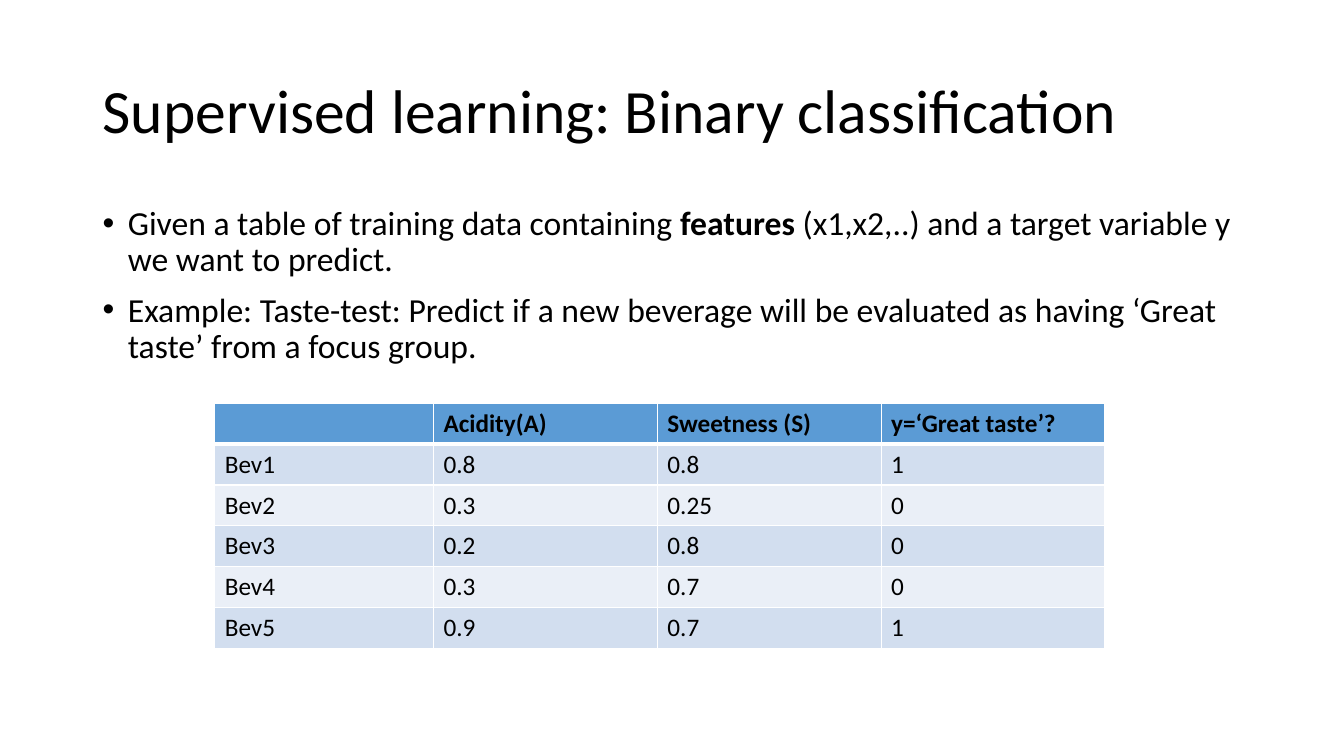
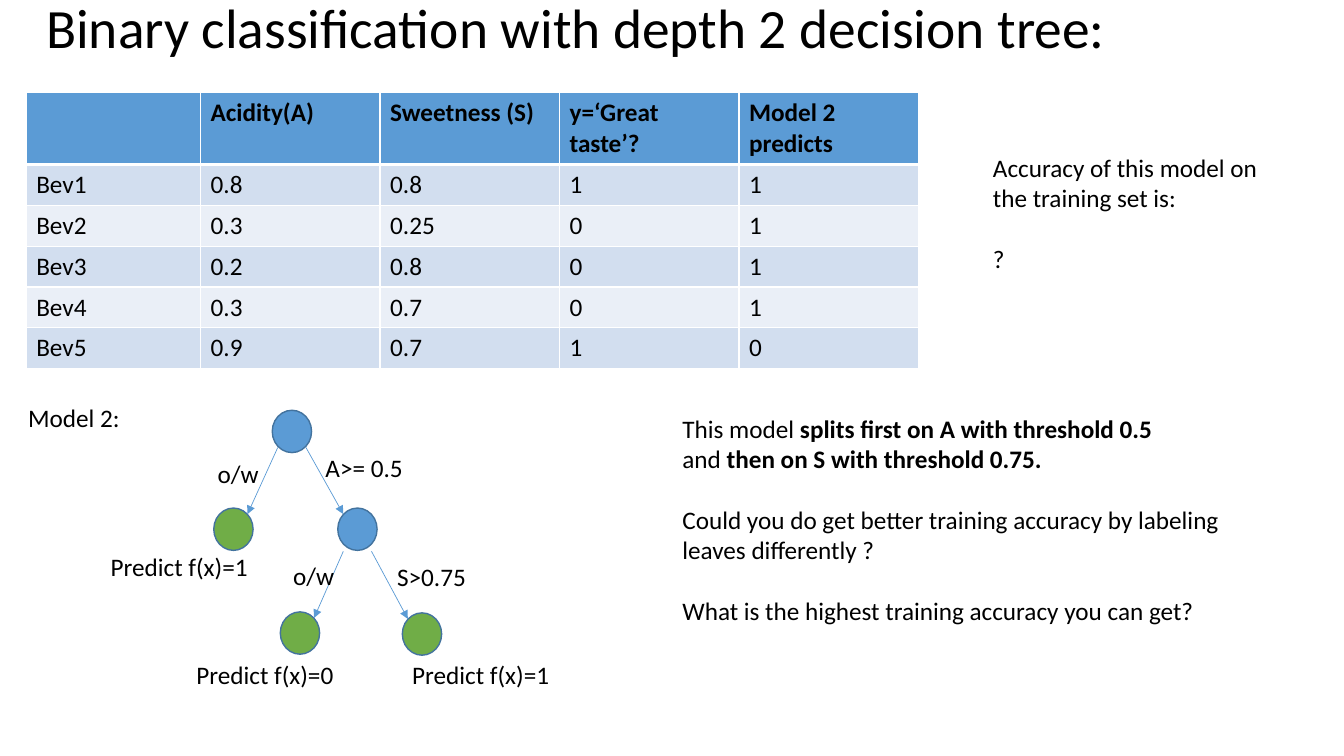
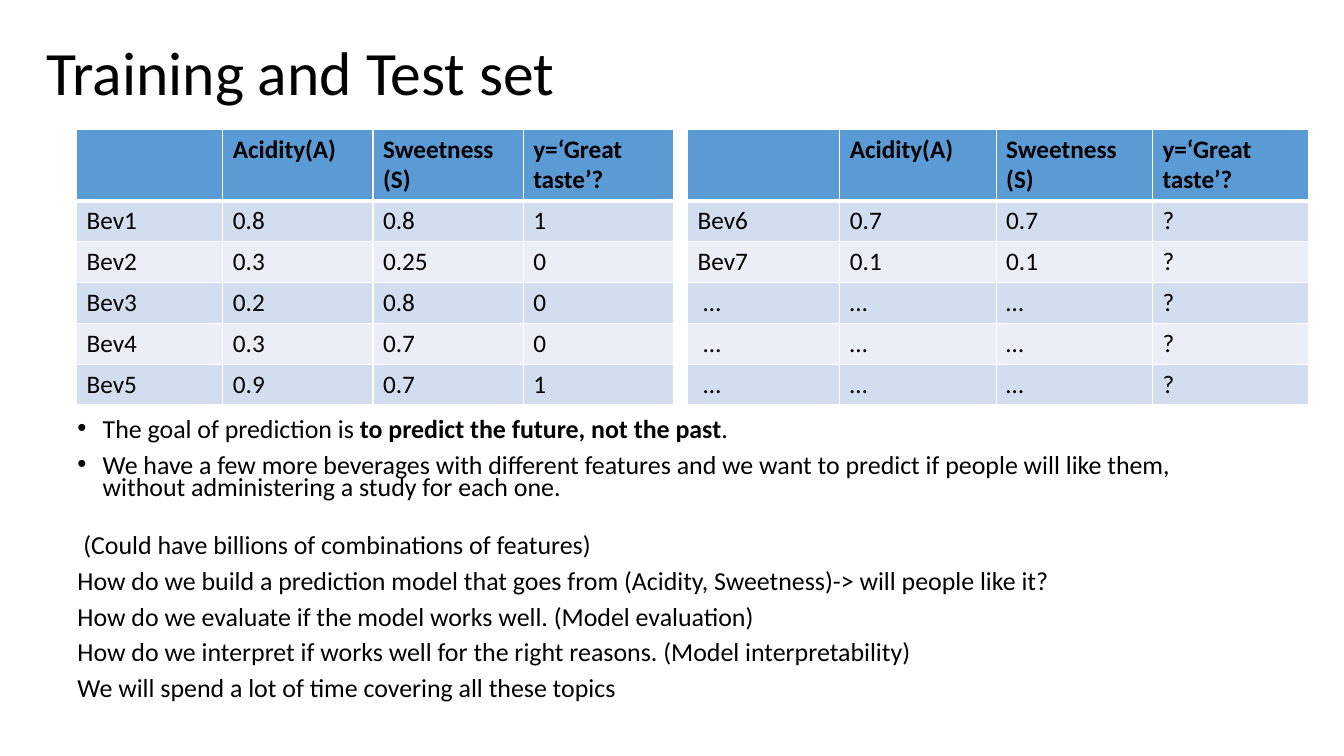
from lxml.etree import SubElement
from pptx import Presentation
from pptx.dml.color import RGBColor
from pptx.enum.shapes import MSO_CONNECTOR as Connector, MSO_SHAPE as Shape
from pptx.enum.text import MSO_ANCHOR as Anchor, MSO_AUTO_SIZE as AutoSize
from pptx.oxml.ns import qn
from pptx.util import Inches, Pt

# Shared look
FONT = "Calibri"
BLACK = RGBColor(0x00, 0x00, 0x00)
BLUE = RGBColor(0x5B, 0x9B, 0xD5)
GREEN = RGBColor(0x70, 0xAD, 0x47)
OUTLINE = RGBColor(0x43, 0x73, 0x9E)
BANDS = (RGBColor(0xD2, 0xDE, 0xEF), RGBColor(0xEA, 0xEF, 0xF7))
BORDER = "FFFFFF"
TEXT_SIZE = 18
BLANK_LINE = 22  # points, one line at TEXT_SIZE
ROW_HEIGHT = 0.4
NODE_WIDTH, NODE_HEIGHT = 0.39, 0.42

# Table content
HEADINGS = ["", "Acidity(A)", "Sweetness (S)", "y=‘Great taste’?"]
TRAINING = [
    ["Bev1", "0.8", "0.8", "1"],
    ["Bev2", "0.3", "0.25", "0"],
    ["Bev3", "0.2", "0.8", "0"],
    ["Bev4", "0.3", "0.7", "0"],
    ["Bev5", "0.9", "0.7", "1"],
]
TEST = [["Bev6", "0.7", "0.7", "?"], ["Bev7", "0.1", "0.1", "?"]]
TEST += [[" …", "…", "…", "?"]] * 3
MODEL_2 = ["1", "1", "1", "1", "0"]


def style(font, size=TEXT_SIZE, bold=False):
    font.name, font.size, font.bold = FONT, Pt(size), bold
    font.color.rgb = BLACK


def write(paragraph, marked, size):
    """Write a line in which **...** marks the bold parts."""
    for index, part in enumerate(marked.split("**")):
        if part:
            run = paragraph.add_run()
            run.text = part
            style(run.font, size, bold=index % 2 == 1)


def add_bullet(paragraph):
    props = paragraph._p.get_or_add_pPr()
    props.set("marL", str(Inches(0.25)))
    props.set("indent", str(Inches(-0.25)))
    SubElement(props, qn("a:buFont"), typeface="Arial")
    SubElement(props, qn("a:buChar"), char="•")


def add_text(slide, box, lines, size=TEXT_SIZE, spacing=None, bullets=0, grow=True):
    """Lines are (text, space before) pairs; the first few may be bulleted."""
    frame = slide.shapes.add_textbox(*map(Inches, box)).text_frame
    frame.word_wrap = True
    frame.auto_size = AutoSize.SHAPE_TO_FIT_TEXT if grow else AutoSize.NONE
    for index, (line, before) in enumerate(lines):
        paragraph = frame.add_paragraph() if index else frame.paragraphs[0]
        if index < bullets:
            add_bullet(paragraph)
        if spacing:
            paragraph.line_spacing = spacing
        if before:
            paragraph.space_before = Pt(before)
        write(paragraph, line, size)
    return frame


def add_title(slide, box, title, size=44):
    frame = add_text(slide, box, [(title, 0)], size, spacing=0.9, grow=False)
    frame.vertical_anchor = Anchor.MIDDLE


def set_borders(cell, top, bottom):
    props = cell._tc.get_or_add_tcPr()
    for side, width in (("L", 1), ("R", 1), ("T", top), ("B", bottom)):
        line = SubElement(props, qn(f"a:ln{side}"), w=str(Pt(width)))
        fill = SubElement(line, qn("a:solidFill"))
        SubElement(fill, qn("a:srgbClr"), val=BORDER)


def add_data_table(slide, left, top, first_width, width, headings, rows, head_height):
    widths = [first_width] + [width] * (len(headings) - 1)
    heights = [head_height] + [ROW_HEIGHT] * len(rows)
    box = (left, top, sum(widths), sum(heights))
    table = slide.shapes.add_table(len(heights), len(widths), *map(Inches, box)).table
    for column, column_width in zip(table.columns, widths):
        column.width = Inches(column_width)
    for row, height in zip(table.rows, heights):
        row.height = Inches(height)
    for r, values in enumerate([headings] + rows):
        for c, value in enumerate(values):
            cell = table.cell(r, c)
            set_borders(cell, top=3 if r == 1 else 1, bottom=3 if r == 0 else 1)
            cell.fill.solid()
            cell.fill.fore_color.rgb = BANDS[(r - 1) % 2] if r else BLUE
            cell.text_frame.text = value
            style(cell.text_frame.paragraphs[0].font, bold=r == 0)


def add_node(slide, left, top, color):
    box = (left, top, NODE_WIDTH, NODE_HEIGHT)
    node = slide.shapes.add_shape(Shape.OVAL, *map(Inches, box))
    node.shadow.inherit = False
    node.fill.solid()
    node.fill.fore_color.rgb = color
    node.line.color.rgb = OUTLINE
    node.line.width = Pt(1)


def add_arrow(slide, start, end):
    arrow = slide.shapes.add_connector(Connector.STRAIGHT, *map(Inches, start + end))
    arrow.line.color.rgb = BLUE
    arrow.line.width = Pt(0.5)
    SubElement(arrow.line._get_or_add_ln(), qn("a:tailEnd"), type="triangle")
    SubElement(arrow._element.spPr, qn("a:effectLst"))


def add_decision_tree(slide, left, top):
    # Nodes, placed from the corner of the region
    nodes = {
        "A": (2.52, 0.13, BLUE),
        "A low": (1.94, 1.1, GREEN),
        "S": (3.17, 1.1, BLUE),
        "S low": (2.6, 2.13, GREEN),
        "S high": (3.81, 2.14, GREEN),
    }
    centres = {}
    for name, (x, y, color) in nodes.items():
        add_node(slide, left + x, top + y, color)
        centres[name] = (left + x + NODE_WIDTH / 2, top + y + NODE_HEIGHT / 2)

    # Branches run from below the parent to the near shoulder of the child
    branches = [("A", "A low", 0.16), ("A", "S", 0.16),
                ("S", "S low", 0.22), ("S", "S high", 0.22)]
    for parent, child, drop in branches:
        (px, py), (cx, cy) = centres[parent], centres[child]
        side = 0.14 if cx > px else -0.14
        add_arrow(slide, (px + side, py + drop), (cx - side, cy - 0.15))

    # Labels
    labels = [
        ("Model 2:", 0, 0), ("A>= 0.5", 2.95, 0.5), ("o/w", 1.88, 0.56),
        ("S>0.75", 3.66, 1.58), ("o/w", 2.63, 1.57), ("Predict f(x)=1", 0.82, 1.48),
        ("Predict f(x)=0", 1.67, 2.55), ("Predict f(x)=1", 3.81, 2.55),
    ]
    for label, x, y in labels:
        add_text(slide, (left + x, top + y, 1.93, 0.4), [(label, 0)])


def build_classification(slide):
    add_title(slide, (0.92, 0.4, 11.5, 1.45), "Supervised learning: Binary classification")
    points = [
        ("Given a table of training data containing **features** (x1,x2,..) "
         "and a target variable y we want to predict.", 0),
        ("Example: Taste-test: Predict if a new beverage will be evaluated as "
         "having ‘Great taste’ from a focus group.", 10),
    ]
    add_text(slide, (0.92, 2, 11.5, 4.76), points, 24, spacing=0.9, bullets=2, grow=False)
    add_data_table(slide, 2.13, 4, 2.17, 2.22, HEADINGS, TRAINING, ROW_HEIGHT)


def build_tree_model(slide):
    add_title(slide, (0.36, 0, 11.5, 0.6),
              "Binary classification with depth 2 decision tree:", 39.6)
    rows = [row + [guess] for row, guess in zip(TRAINING, MODEL_2)]
    add_data_table(slide, 0.26, 0.92, 1.73, 1.78, HEADINGS + ["Model 2 predicts"], rows, 0.69)
    add_decision_tree(slide, 0.18, 3.94)
    accuracy = [("Accuracy of this model on the training set is:", 0), ("?", BLANK_LINE)]
    add_text(slide, (9.75, 1.46, 2.83, 1.31), accuracy)
    questions = [
        ("This model **splits first on A with threshold 0.5**", 0),
        ("and **then on S with threshold 0.75.**", 0),
        ("Could you do get better training accuracy by labeling leaves differently ?", BLANK_LINE),
        ("What is the highest training accuracy you can get?", BLANK_LINE),
    ]
    add_text(slide, (6.67, 4.05, 5.67, 2.22), questions)


def build_train_and_test(slide):
    add_title(slide, (0.36, 0.02, 11.5, 1.45), "Training and Test set")
    points = [
        ("The goal of prediction is **to predict the future, not the past**.", 0),
        ("We have a few more beverages with different features and we want to predict "
         "if people will like them, without administering a study for each one.", 10),
        (" (Could have billions of combinations of features)", 26),
        ("How do we build a prediction model that goes from "
         "(Acidity, Sweetness)-> will people like it?", 10),
        ("How do we evaluate if the model works well. (Model evaluation)", 10),
        ("How do we interpret if works well for the right reasons. (Model interpretability)", 10),
        ("We will spend a lot of time covering all these topics", 10),
    ]
    add_text(slide, (0.67, 4.13, 11.19, 2.98), points, 18.5, spacing=0.7, bullets=2, grow=False)
    add_data_table(slide, 0.76, 1.28, 1.45, 1.49, HEADINGS, TRAINING, 0.7)
    add_data_table(slide, 6.82, 1.28, 1.51, 1.55, HEADINGS, TEST, 0.7)


def main():
    deck = Presentation()
    deck.slide_width, deck.slide_height = Inches(13.33), Inches(7.5)
    for build in (build_classification, build_tree_model, build_train_and_test):
        build(deck.slides.add_slide(deck.slide_layouts[6]))
    deck.save("out.pptx")


if __name__ == "__main__":
    main()
